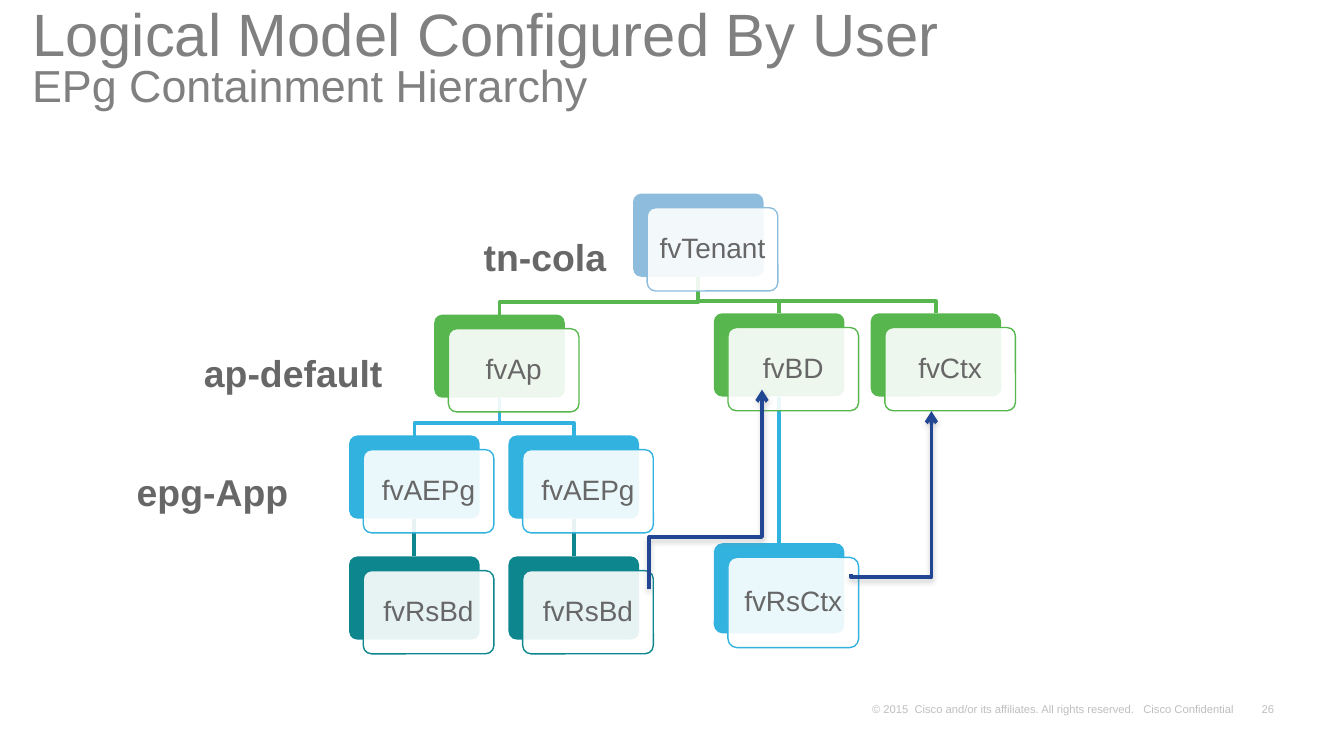
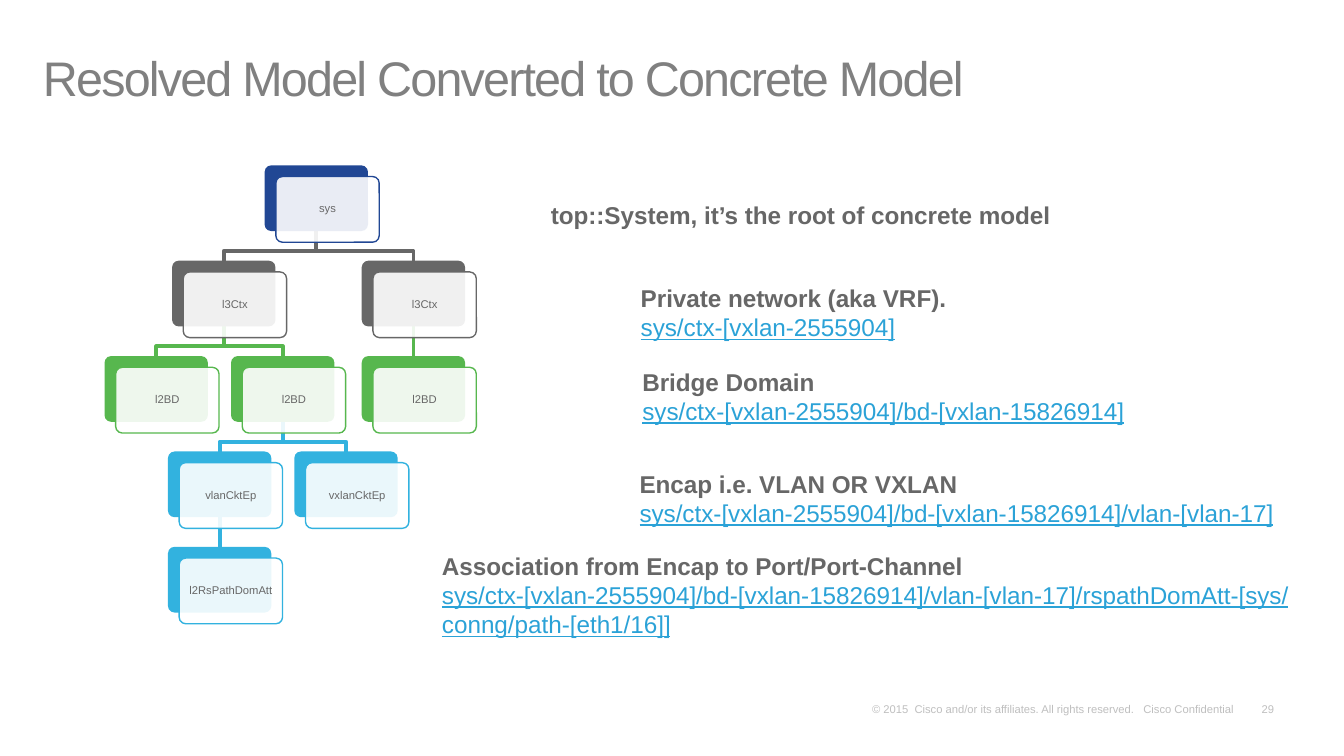
from lxml.etree import SubElement
from pptx import Presentation
from pptx.dml.color import RGBColor
from pptx.enum.shapes import MSO_CONNECTOR, MSO_SHAPE
from pptx.enum.text import MSO_ANCHOR, MSO_AUTO_SIZE, PP_ALIGN
from pptx.oxml.ns import qn
from pptx.util import Pt

FONT = "Arial"
COLOURS = {
    "title": "808080", "text": "676767", "link": "2BA2D7", "footer": "BFBFBF",
    "white": "FFFFFF", "pale": "8EBCDC", "green": "57B74E", "sky": "32B2DF",
    "teal": "0D868E", "navy": "214794", "grey": "676767",
}
RGB = {name: RGBColor.from_string(code) for name, code in COLOURS.items()}
COPYRIGHT = "© 2015  Cisco and/or its affiliates. All rights reserved.   Cisco Confidential"
BRIDGE_DOMAIN = "sys/ctx-[vxlan-2555904]/bd-[vxlan-15826914]"

# Nodes: label, colour, left, level, index of the parent
# Notes: left, top, width, height, size, heading and perhaps a link
SLIDES = [
    {
        "number": "26",
        "title": "Logical Model Configured By User\vEPg Containment Hierarchy",
        "title_box": (10, 2.2, 675.4, 61.2),
        "title_sizes": (32, 24),
        "title_spacing": 0,
        "title_anchor": MSO_ANCHOR.MIDDLE,
        "node": {"width": 70, "height": 44.6, "shift": 7.6, "size": 15,
                 "top": 103.7, "pitch": 64.8},
        "taller": {"fvRsCtx": 48.4},
        "tree": [
            ("fvTenant", "pale", 339.1, 0, None),
            ("fvAp", "green", 232.6, 1, 0),
            ("fvAEPg", "sky", 187, 2, 1),
            ("fvRsBd", "teal", 187, 3, 2),
            ("fvAEPg", "sky", 272.4, 2, 1),
            ("fvRsBd", "teal", 272.4, 3, 4),
            ("fvBD", "green", 382.4, 0.99, 0),
            ("fvRsCtx", "sky", 382.4, 2.89, 6),
            ("fvCtx", "green", 466.4, 0.99, 0),
        ],
        "notes": [
            (252, 121.7, 126.7, 31.7, 20, ["tn-cola"]),
            (102.2, 184.3, 126.7, 31.7, 20, ["ap-default"]),
            (66.2, 247.7, 95.8, 31.7, 20, ["epg-App"]),
        ],
        # start x, start y, end x, end y, bend position
        "relations": [
            (347.8, 315.4, 408.2, 208.8, 0.26),
            (455.8, 307.4, 499, 220.3, -0.02),
        ],
    },
    {
        "number": "29",
        "title": "Resolved Model Converted to Concrete Model",
        "title_box": (15.8, 4.3, 681.8, 56.2),
        "title_sizes": (26,),
        "title_spacing": -1,
        "title_anchor": MSO_ANCHOR.BOTTOM,
        "node": {"width": 55.4, "height": 35.2, "shift": 6, "size": 6,
                 "top": 88.6, "pitch": 51.1},
        "taller": {},
        "tree": [
            ("sys", "navy", 141.8, 0, None),
            ("l3Ctx", "grey", 92.2, 1, 0),
            ("l2BD", "green", 56, 2, 1),
            ("l2BD", "green", 123.8, 2, 1),
            ("vlanCktEp", "sky", 90, 3, 3),
            ("l2RsPathDomAtt", "sky", 90, 4, 4),
            ("vxlanCktEp", "sky", 157.7, 3, 3),
            ("l3Ctx", "grey", 193.8, 1, 0),
            ("l2BD", "green", 193.8, 2, 7),
        ],
        "notes": [
            (288, 103.7, 290.2, 23, 13, ["top::System, it’s the root of concrete model"]),
            (336.2, 148.3, 208.8, 38.9, 13,
             ["Private network (aka VRF).", "sys/ctx-[vxlan-2555904]"]),
            (337, 193, 351.4, 38.9, 13, ["Bridge Domain", BRIDGE_DOMAIN]),
            (335.5, 247.7, 380.9, 38.9, 13,
             ["Encap i.e. VLAN OR VXLAN", BRIDGE_DOMAIN + "/vlan-[vlan-17]"]),
            (229.7, 291.6, 486, 54.7, 13,
             ["Association from Encap to Port/Port-Channel",
              BRIDGE_DOMAIN + "/vlan-[vlan-17]/rspathDomAtt-[sys/conng/path-[eth1/16]]"]),
        ],
        "relations": [],
    },
]


def add_text(slide, box, lines, size, colour):
    frame = slide.shapes.add_textbox(*map(Pt, box)).text_frame
    frame.word_wrap = True
    frame.text = "\n".join(lines)
    for paragraph in frame.paragraphs:
        for run in paragraph.runs:
            run.font.name = FONT
            run.font.size = Pt(size)
            run.font.color.rgb = RGB[colour]
    return frame


def add_line(slide, kind, ends, colour):
    """Draw a 2 pt connector and return it with its empty effect list."""
    line = slide.shapes.add_connector(kind, *map(Pt, ends))
    line.line.width = Pt(2)
    line.line.color.rgb = RGB[colour]
    return line, SubElement(line._element.spPr, qn("a:effectLst"))


prs = Presentation()
prs.slide_width, prs.slide_height = Pt(720), Pt(405)

for content in SLIDES:
    slide = prs.slides.add_slide(prs.slide_layouts[5])

    # Footer
    for box, words, align in [((670.3, 373.7, 17.3, 12.2), content["number"], PP_ALIGN.RIGHT),
                              ((462.2, 373.7, 209.5, 12.2), COPYRIGHT, PP_ALIGN.LEFT)]:
        footer = add_text(slide, box, [words], 6, "footer")
        footer.word_wrap = align == PP_ALIGN.LEFT
        footer.vertical_anchor = MSO_ANCHOR.BOTTOM
        footer.margin_left = footer.margin_right = Pt(5)
        footer.margin_top = footer.margin_bottom = Pt(2.2)
        footer.paragraphs[0].alignment = align

    # Title
    title = slide.shapes.title
    title.left, title.top, title.width, title.height = map(Pt, content["title_box"])
    heading = title.text_frame
    heading.text = content["title"]
    heading.auto_size = MSO_AUTO_SIZE.NONE
    heading.word_wrap = True
    heading.vertical_anchor = content["title_anchor"]
    paragraph = heading.paragraphs[0]
    paragraph.alignment = PP_ALIGN.LEFT
    paragraph.line_spacing = 0.8
    for run, size in zip(paragraph.runs, content["title_sizes"]):
        run.font.name = FONT
        run.font.size = Pt(size)
        run.font.color.rgb = RGB["title"]
        if content["title_spacing"]:
            run.font._element.set("spc", str(content["title_spacing"] * 100))
    for line_break in paragraph._p.findall(qn("a:br")):
        SubElement(line_break, qn("a:rPr"), sz=str(content["title_sizes"][0] * 100))

    # Branches from each parent down to its child
    node, tree = content["node"], content["tree"]
    width, shift = node["width"], node["shift"]
    for label, colour, left, level, parent in tree:
        if parent is None:
            continue
        start_x = tree[parent][2] + width / 2
        start_y = node["top"] + tree[parent][3] * node["pitch"] + node["height"]
        end_x = left + width / 2
        end_y = node["top"] + level * node["pitch"]
        if start_x == end_x:
            add_line(slide, MSO_CONNECTOR.STRAIGHT, (start_x, start_y, end_x, end_y), colour)
            continue
        bend_y = start_y + 0.67 * (end_y - start_y)
        outline = slide.shapes.build_freeform(Pt(start_x), Pt(start_y))
        outline.add_line_segments(
            [(Pt(x), Pt(y)) for x, y in [(start_x, bend_y), (end_x, bend_y), (end_x, end_y)]],
            close=False)
        branch = outline.convert_to_shape()
        branch.shadow.inherit = False
        branch.fill.background()
        branch.line.width = Pt(2)
        branch.line.color.rgb = RGB[colour]

    # Nodes: a coloured plate with a translucent card in front
    for label, colour, left, level, parent in tree:
        top = node["top"] + level * node["pitch"]
        height = content["taller"].get(label, node["height"])
        for offset, fill in [(0, colour), (shift, "white")]:
            card = slide.shapes.add_shape(
                MSO_SHAPE.ROUNDED_RECTANGLE,
                Pt(left + offset), Pt(top + offset), Pt(width), Pt(height))
            card.adjustments[0] = 0.1
            card.shadow.inherit = False
            card.fill.solid()
            card.fill.fore_color.rgb = RGB[fill]
            card.line.fill.background()
        card.line.color.rgb = RGB[colour]
        card.line.width = Pt(0.75)
        SubElement(card._element.spPr.find(qn("a:solidFill"))[0], qn("a:alpha"), val="90000")
        frame = card.text_frame
        frame.text = label
        frame.word_wrap = True
        frame.vertical_anchor = MSO_ANCHOR.MIDDLE
        frame.margin_left = frame.margin_right = Pt(4)
        frame.margin_top = frame.margin_bottom = Pt(4)
        paragraph = frame.paragraphs[0]
        paragraph.alignment = PP_ALIGN.CENTER
        paragraph.line_spacing = 0.9
        font = paragraph.runs[0].font
        font.name, font.size = FONT, Pt(node["size"])
        font.color.rgb = RGB["text"]

    # Notes beside the tree
    for *box, size, lines in content["notes"]:
        note = add_text(slide, box, lines, size, "text")
        note.paragraphs[0].runs[0].font.bold = True
        for paragraph in note.paragraphs[1:]:
            link = paragraph.runs[0].font
            link.underline = True
            link.color.rgb = RGB["link"]

    # Relation arrows: elbows turned a quarter so that they leave vertically
    for start_x, start_y, end_x, end_y, bend in content["relations"]:
        centre_x, centre_y = (start_x + end_x) / 2, (start_y + end_y) / 2
        half_w, half_h = (start_y - end_y) / 2, (end_x - start_x) / 2
        relation, effects = add_line(
            slide, MSO_CONNECTOR.ELBOW,
            (centre_x + half_w, centre_y + half_h, centre_x - half_w, centre_y - half_h), "navy")
        properties = relation._element.spPr
        properties.find(qn("a:xfrm")).set("rot", "5400000")
        guides = properties.find(qn("a:prstGeom")).find(qn("a:avLst"))
        SubElement(guides, qn("a:gd"), name="adj1", fmla=f"val {round(bend * 100000)}")
        SubElement(properties.find(qn("a:ln")), qn("a:tailEnd"), type="arrow")
        shadow = SubElement(effects, qn("a:outerShdw"), blurRad=str(Pt(3.1)),
                            dist=str(Pt(1.6)), dir="5400000", rotWithShape="0")
        tint = SubElement(shadow, qn("a:srgbClr"), val=COLOURS["title"])
        SubElement(tint, qn("a:alpha"), val="38000")

prs.save("out.pptx")
